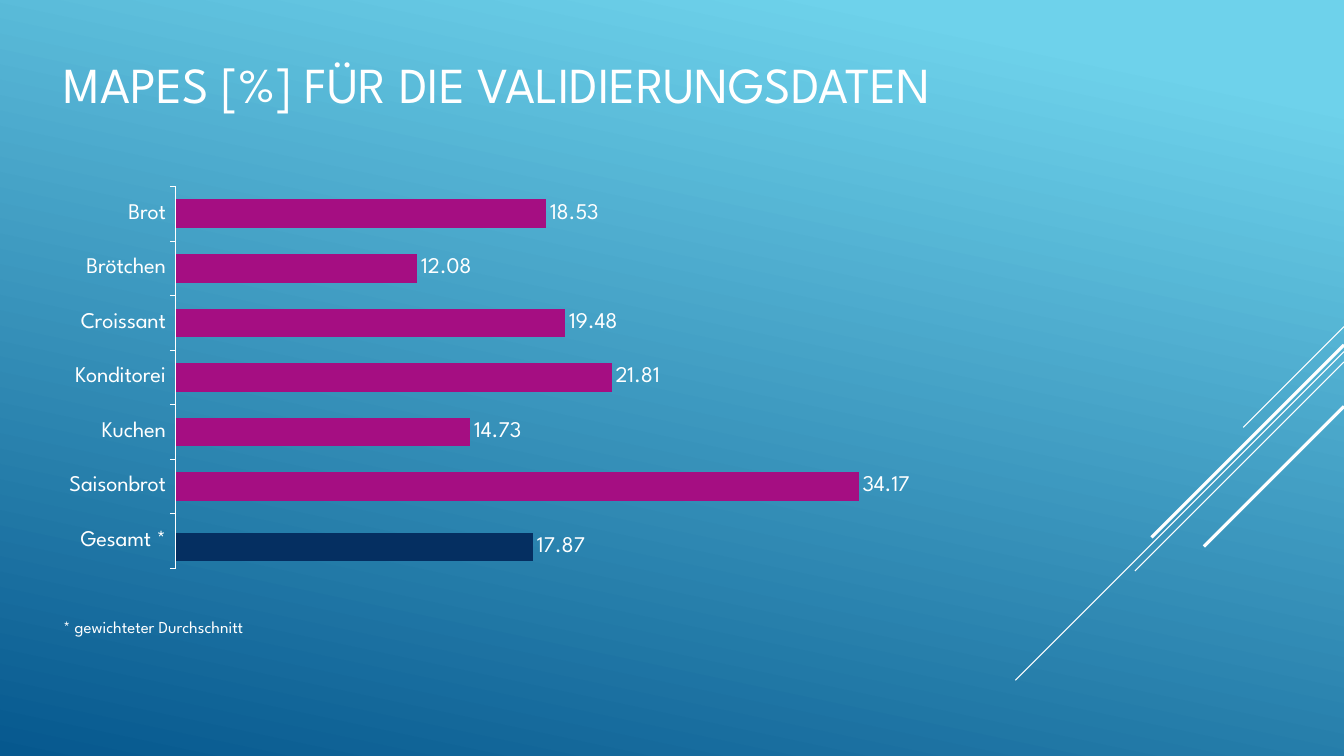
import dataclasses

import lxml.etree
import pptx
import pptx.chart.data
import pptx.dml.color
import pptx.enum.chart
import pptx.enum.shapes
import pptx.enum.text
import pptx.oxml
import pptx.oxml.ns
import pptx.util

Cm = pptx.util.Cm
Pt = pptx.util.Pt
qn = pptx.oxml.ns.qn
WIDTH, HEIGHT = 33.87, 19.05


@dataclasses.dataclass(frozen=True)
class Theme:
    font: str = "League Spartan"
    text: str = "FFFFFF"
    light: str = "6ED2EB"
    dark: str = "06588E"
    total: str = "052F61"
    item: str = "A50E82"
    spare: str = "14967C"
    title: int = 36
    label: int = 16
    note: int = 12
    base: int = 10


def color(code):
    return pptx.dml.color.RGBColor.from_string(code)


class Deck:
    def __init__(self, theme):
        self.theme = theme
        self.show = pptx.Presentation()
        self.show.slide_width, self.show.slide_height = Cm(WIDTH), Cm(HEIGHT)
        self.slide = self.show.slides.add_slide(self.show.slide_layouts[5])

    def style(self, font, size):
        font.name = self.theme.font
        font.size = Pt(size)
        font.color.rgb = color(self.theme.text)

    def backdrop(self):
        fill = self.slide.background.fill
        fill.gradient()
        fill.gradient_angle = 258
        stops = ((0.1, self.theme.light), (1, self.theme.dark))
        for stop, (place, code) in zip(fill.gradient_stops, stops):
            stop.position = place
            stop.color.rgb = color(code)

    def ray(self, top, run, weight):
        line = self.slide.shapes.add_connector(
            pptx.enum.shapes.MSO_CONNECTOR.STRAIGHT,
            Cm(WIDTH), Cm(top), Cm(WIDTH - run), Cm(top + run))
        line.line.color.rgb = color(self.theme.text)
        line.line.width = Pt(weight)
        props = line._element.spPr
        lxml.etree.SubElement(props, qn("a:effectLst"))

    def title(self, text, box):
        shape = self.slide.shapes.title
        shape.left, shape.top, shape.width, shape.height = map(Cm, box)
        frame = shape.text_frame
        frame.text = text
        frame.auto_size = pptx.enum.text.MSO_AUTO_SIZE.NONE
        frame.vertical_anchor = pptx.enum.text.MSO_ANCHOR.MIDDLE
        head = frame.paragraphs[0]
        head.alignment = pptx.enum.text.PP_ALIGN.LEFT
        self.style(head.font, self.theme.title)

    def note(self, text, box):
        frame = self.slide.shapes.add_textbox(*map(Cm, box)).text_frame
        frame.word_wrap = False
        frame.auto_size = pptx.enum.text.MSO_AUTO_SIZE.SHAPE_TO_FIT_TEXT
        frame.text = text
        self.style(frame.paragraphs[0].font, self.theme.note)

    def bars(self, names, rows, box, area):
        kinds = pptx.enum.chart
        data = pptx.chart.data.CategoryChartData(number_format="0.00")
        data.categories = names
        for name, values, _, _ in rows:
            data.add_series(name, values)
        chart = self.slide.shapes.add_chart(
            kinds.XL_CHART_TYPE.BAR_CLUSTERED, *map(Cm, box), data).chart
        chart.has_legend = False
        chart.has_title = False
        self.style(chart.font, self.theme.base)
        plot = chart.plots[0]
        plot.vary_by_categories = False
        plot.gap_width, plot.overlap = 50, 80
        for series, (_, _, code, size) in zip(plot.series, rows):
            series.invert_if_negative = False
            series.format.fill.solid()
            series.format.fill.fore_color.rgb = color(code)
            labels = series.data_labels
            labels.show_value = True
            labels.position = kinds.XL_LABEL_POSITION.OUTSIDE_END
            self.style(labels.font, size)
        axis = chart.category_axis
        axis.major_tick_mark = kinds.XL_TICK_MARK.OUTSIDE
        axis.format.line.color.rgb = color(self.theme.text)
        axis.format.line.width = Pt(0.75)
        self.style(axis.tick_labels.font, self.theme.label)
        scale = chart.value_axis
        scale.minimum_scale, scale.maximum_scale = 0, 40
        scale.has_major_gridlines = False
        scale.visible = False
        self.frame(chart, area)

    def frame(self, chart, area):
        plot = chart._chartSpace.chart.plotArea
        for old in plot.findall(qn("c:layout")):
            plot.remove(old)
        layout = pptx.oxml.parse_xml(
            '<c:layout xmlns:c="http://schemas.openxmlformats.org/'
            'drawingml/2006/chart"><c:manualLayout/></c:layout>')
        plot.insert(0, layout)
        parts = [("layoutTarget", "inner"), ("xMode", "edge"), ("yMode", "edge")]
        for tag, value in parts + list(zip("xywh", area)):
            lxml.etree.SubElement(layout[0], qn("c:" + tag)).set("val", str(value))


def main():
    theme = Theme()
    deck = Deck(theme)
    deck.backdrop()
    rays = ((8.23, 2.54, 0.75), (8.86, 8.28, 0.75), (9.12, 5.27, 0.75),
            (8.69, 4.85, 2.25), (10.24, 3.53, 2.25))
    for ray in rays:
        deck.ray(*ray)
    deck.title("MAPES [%] FÜR DIE VALIDIERUNGSDATEN", (1.35, 0, 30.05, 4.19))
    names = ("Gesamt *", "Saisonbrot", "Kuchen", "Konditorei",
             "Croissant", "Brötchen", "Brot")
    items = (34.17, 14.73, 21.81, 19.48, 12.08, 18.53)
    gaps = (None,) * len(items)
    rows = (("Series 1", (17.87, *gaps), theme.total, theme.label),
            ("Series 2", (None, *items), theme.item, theme.label),
            ("Series 3", (None, *gaps), theme.spare, theme.note))
    deck.bars(names, rows, (1.35, 4.5, 23.7, 10.03), (0.13, 0.02, 0.85, 0.96))
    deck.note("* gewichteter Durchschnitt", (1.35, 15.42, 6.05, 0.76))
    deck.show.save("out.pptx")


if __name__ == "__main__":
    main()
